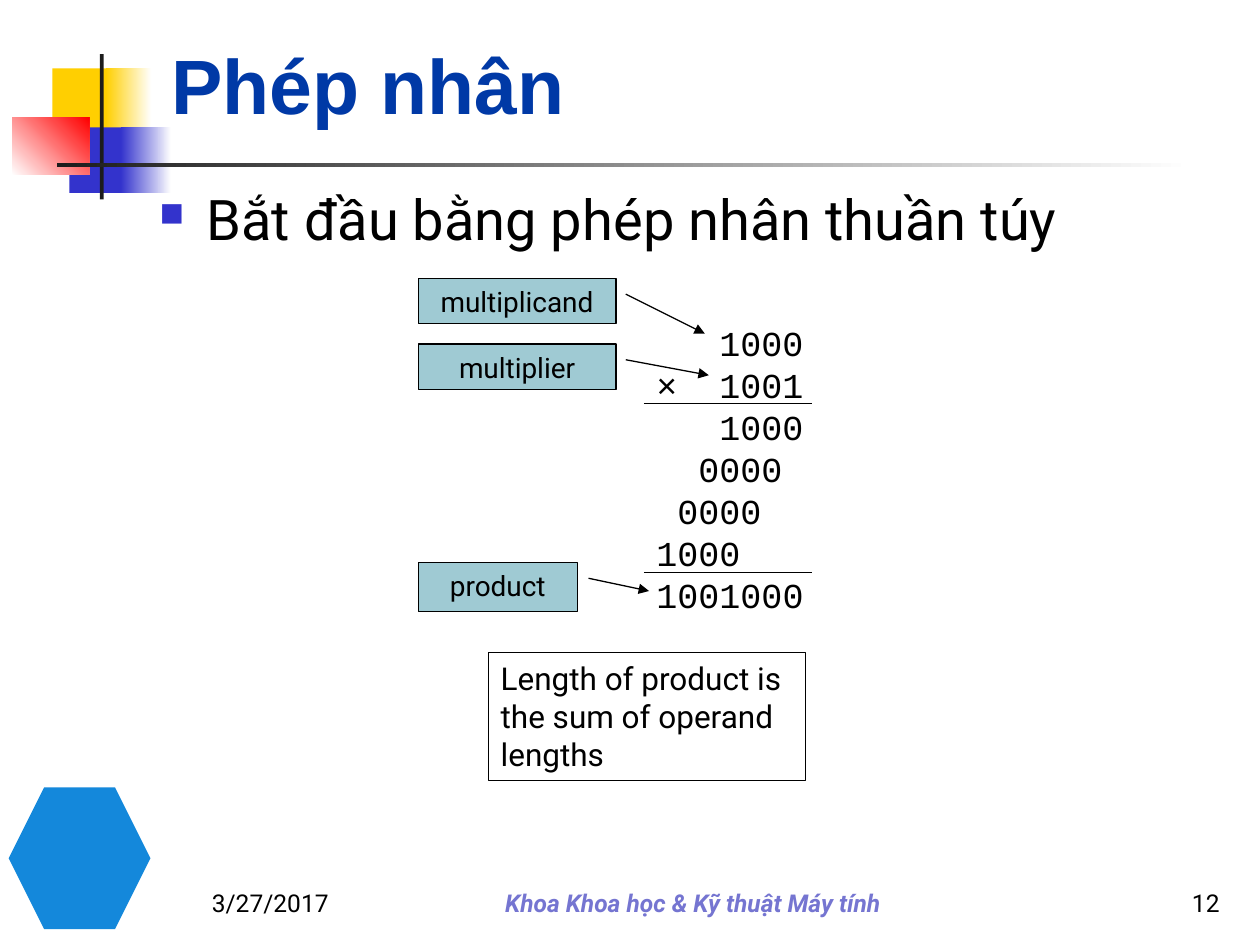
from lxml import etree
from pptx import Presentation
from pptx.dml.color import RGBColor
from pptx.enum.shapes import MSO_CONNECTOR, MSO_SHAPE
from pptx.enum.text import MSO_ANCHOR, MSO_AUTO_SIZE, PP_ALIGN
from pptx.oxml.ns import qn
from pptx.util import Pt

RECT = MSO_SHAPE.RECTANGLE
HEXAGON = MSO_SHAPE.HEXAGON
CALLOUT = MSO_SHAPE.LINE_CALLOUT_1
STRAIGHT = MSO_CONNECTOR.STRAIGHT
LEFT, CENTER, RIGHT = PP_ALIGN.LEFT, PP_ALIGN.CENTER, PP_ALIGN.RIGHT
TOP, BOTTOM = MSO_ANCHOR.TOP, MSO_ANCHOR.BOTTOM
NO_FIT = MSO_AUTO_SIZE.NONE

COLORS = {
    "yellow": "FFCF01", "blue": "3333CC", "red": "FF0000", "white": "FFFFFF",
    "dark": "1C1C1C", "emblem": "1488DB", "title": "0039A6", "black": "000000",
    "footer": "7575D1", "label": "9FCAD3",
}
BODY_FONT = "Roboto"
CODE_FONT = "Courier New"
DIGIT = 12


def rgb(name):
    return RGBColor.from_string(COLORS[name])


def points(*values):
    return [Pt(v) for v in values]


def add_element(parent, tag, **attrs):
    return etree.SubElement(parent, qn(tag), attrs)


def style_text(p, size, color="black", font=BODY_FONT, align=LEFT, bold=False, italic=False):
    p.alignment = align
    for r in p.runs:
        f = r.font
        f.name, f.size, f.bold, f.italic = font, Pt(size), bold, italic
        f.color.rgb = rgb(color)


def add_block(s, box, start, end=None, angle=0, kind=RECT):
    sp = s.shapes.add_shape(kind, *points(*box))
    sp.shadow.inherit = False
    sp.line.fill.background()
    if end is None:
        sp.fill.solid()
        sp.fill.fore_color.rgb = rgb(start)
    else:
        sp.fill.gradient()
        sp.fill.gradient_angle = angle
        for stop, color in zip(sp.fill.gradient_stops, (start, end)):
            stop.color.rgb = rgb(color)
    return sp


def add_text(s, box, text, size, anchor=TOP, **style):
    sp = s.shapes.add_textbox(*points(*box))
    tf = sp.text_frame
    tf.word_wrap = True
    tf.auto_size = NO_FIT
    tf.vertical_anchor = anchor
    tf.text = text
    style_text(tf.paragraphs[0], size, **style)
    return sp


def add_bullet(s, box, text):
    p = add_text(s, box, text, 32).text_frame.paragraphs[0]
    pPr = p._p.get_or_add_pPr()
    pPr.set("marL", str(Pt(27)))
    pPr.set("indent", str(Pt(-27)))
    color = add_element(pPr, "a:buClr")
    add_element(color, "a:srgbClr", val=COLORS["blue"])
    add_element(pPr, "a:buSzPct", val="60000")
    add_element(pPr, "a:buChar", char="■")


def add_calculation(s, box, rows):
    sp = s.shapes.add_textbox(*points(*box))
    tf = sp.text_frame
    tf.word_wrap = False
    for i, (text, shift) in enumerate(rows):
        p = tf.paragraphs[0] if i == 0 else tf.add_paragraph()
        p.text = text
        p.line_spacing = Pt(24)
        pPr = p._p.get_or_add_pPr()
        pPr.set("marL", str(Pt(shift * DIGIT)))
        pPr.set("indent", "0")
        if "\t" in text:
            tabs = add_element(pPr, "a:tabLst")
            add_element(tabs, "a:tab", pos=str(Pt(3 * DIGIT)), algn="l")
        style_text(p, 20, font=CODE_FONT)


def add_rule(s, x1, x2, y):
    line = s.shapes.add_connector(STRAIGHT, *points(x1, y, x2, y))
    line.line.color.rgb = rgb("black")
    line.line.width = Pt(0.75)
    add_element(line._element.spPr, "a:effectLst")


def add_framed(s, kind, box, text, size, align, fill=None):
    sp = s.shapes.add_shape(kind, *points(*box))
    sp.shadow.inherit = False
    if fill:
        sp.fill.solid()
        sp.fill.fore_color.rgb = rgb(fill)
    else:
        sp.fill.background()
    sp.line.color.rgb = rgb("black")
    sp.line.width = Pt(0.75)
    tf = sp.text_frame
    tf.word_wrap = True
    tf.vertical_anchor = TOP
    tf.text = text
    style_text(tf.paragraphs[0], size, align=align)
    return sp


def add_callout(s, box, text, pointer):
    sp = add_framed(s, CALLOUT, box, text, 16, CENTER, "label")
    for i, value in enumerate(pointer):
        sp.adjustments[i] = value
    add_element(sp.line._get_or_add_ln(), "a:tailEnd", type="triangle")


def add_title(s, box, text):
    sp = s.shapes.title
    sp.left, sp.top, sp.width, sp.height = points(*box)
    tf = sp.text_frame
    tf.text = text
    tf.auto_size = NO_FIT
    tf.vertical_anchor = BOTTOM
    style_text(tf.paragraphs[0], 44, "title", "Arial", bold=True)


def add_decoration(s):
    add_block(s, (30, 39, 34.5, 37.5), "yellow")
    add_block(s, (60.5, 39, 26, 37.5), "yellow", "white")
    add_block(s, (39.75, 72.75, 33, 37.5), "blue")
    add_block(s, (69, 72.75, 29, 37.5), "blue", "white")
    add_block(s, (7, 67, 44, 33), "white", "red", angle=45)
    add_block(s, (57, 31, 2.25, 83), "dark")
    add_block(s, (32.5, 93, 648, 2.25), "dark", "white")
    add_block(s, (5, 450, 81, 81), "emblem", kind=HEXAGON)


def main():
    prs = Presentation()
    prs.slide_width, prs.slide_height = Pt(720), Pt(540)
    s = prs.slides.add_slide(prs.slide_layouts[5])

    add_decoration(s)
    add_title(s, (90.75, 16.5, 613.5, 61.5), "Phép nhân")
    add_bullet(s, (84, 102, 612, 367), "Bắt đầu bằng phép nhân thuần túy")

    add_calculation(s, (368, 180, 98.5, 175), [
        ("1000", 3), ("×\t1001", 0), ("1000", 3), ("0000", 2),
        ("0000", 1), ("1000", 0), ("1001000", 0),
    ])
    for y in (230.5, 327):
        add_rule(s, 368, 464, y)

    add_framed(s, RECT, (279, 373, 181.5, 73), "Length of product is the sum of operand lengths", 18, LEFT)
    add_callout(s, (239, 159, 113, 26), "multiplicand", (0.35, 1.05, 1.22, 1.45))
    add_callout(s, (239, 196.5, 113, 26), "multiplier", (0.35, 1.05, 0.69, 1.47))
    add_callout(s, (239, 321.5, 91, 28), "product", (0.32, 1.07, 0.58, 1.45))

    add_text(s, (114, 492, 102, 36), "3/27/2017", 14, BOTTOM)
    add_text(s, (222, 504, 348, 24), "Khoa Khoa học & Kỹ thuật Máy tính", 14, BOTTOM,
             color="footer", align=CENTER, bold=True, italic=True)
    add_text(s, (600, 492, 104, 36), "12", 14, BOTTOM, align=RIGHT)

    prs.save("out.pptx")


if __name__ == "__main__":
    main()
